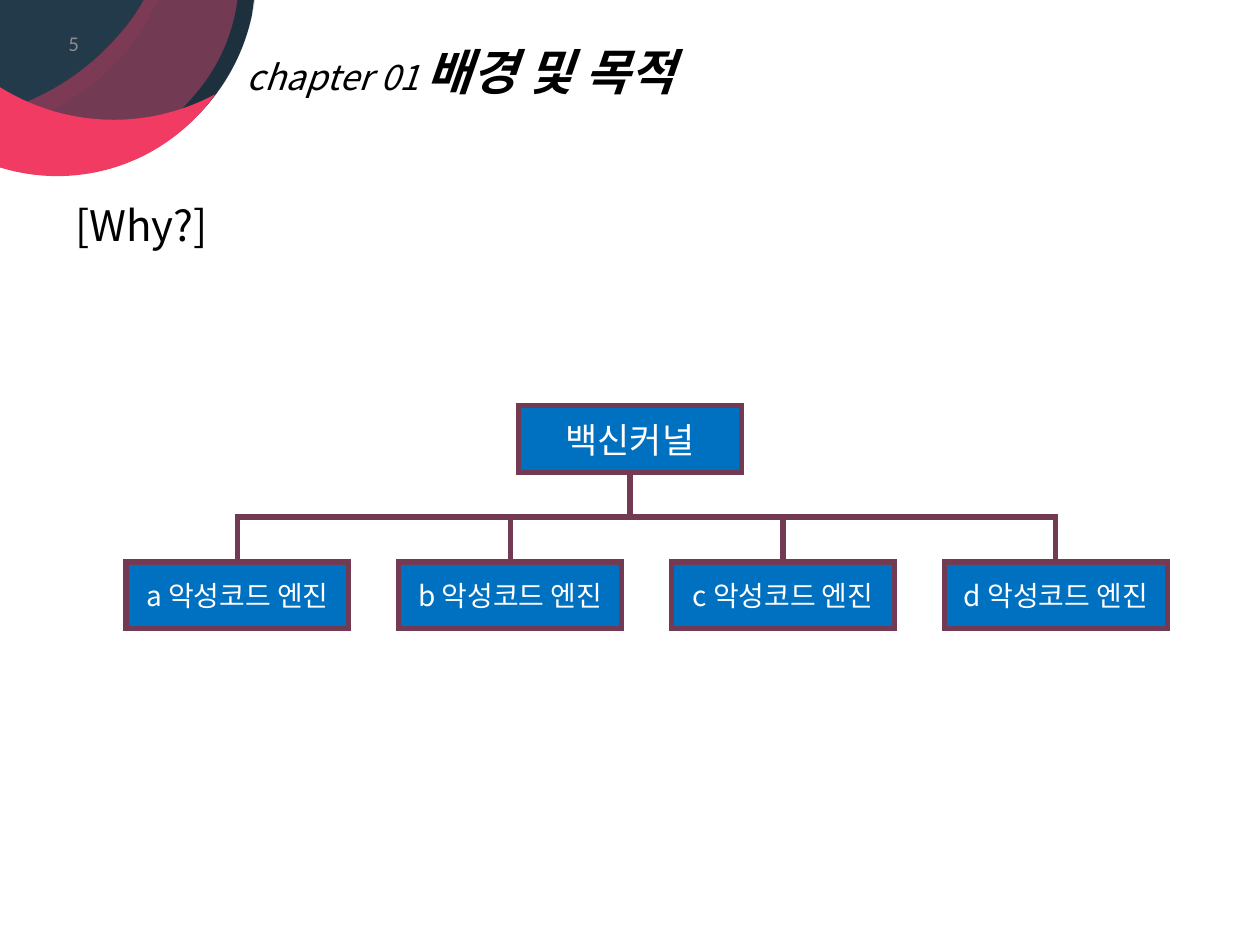
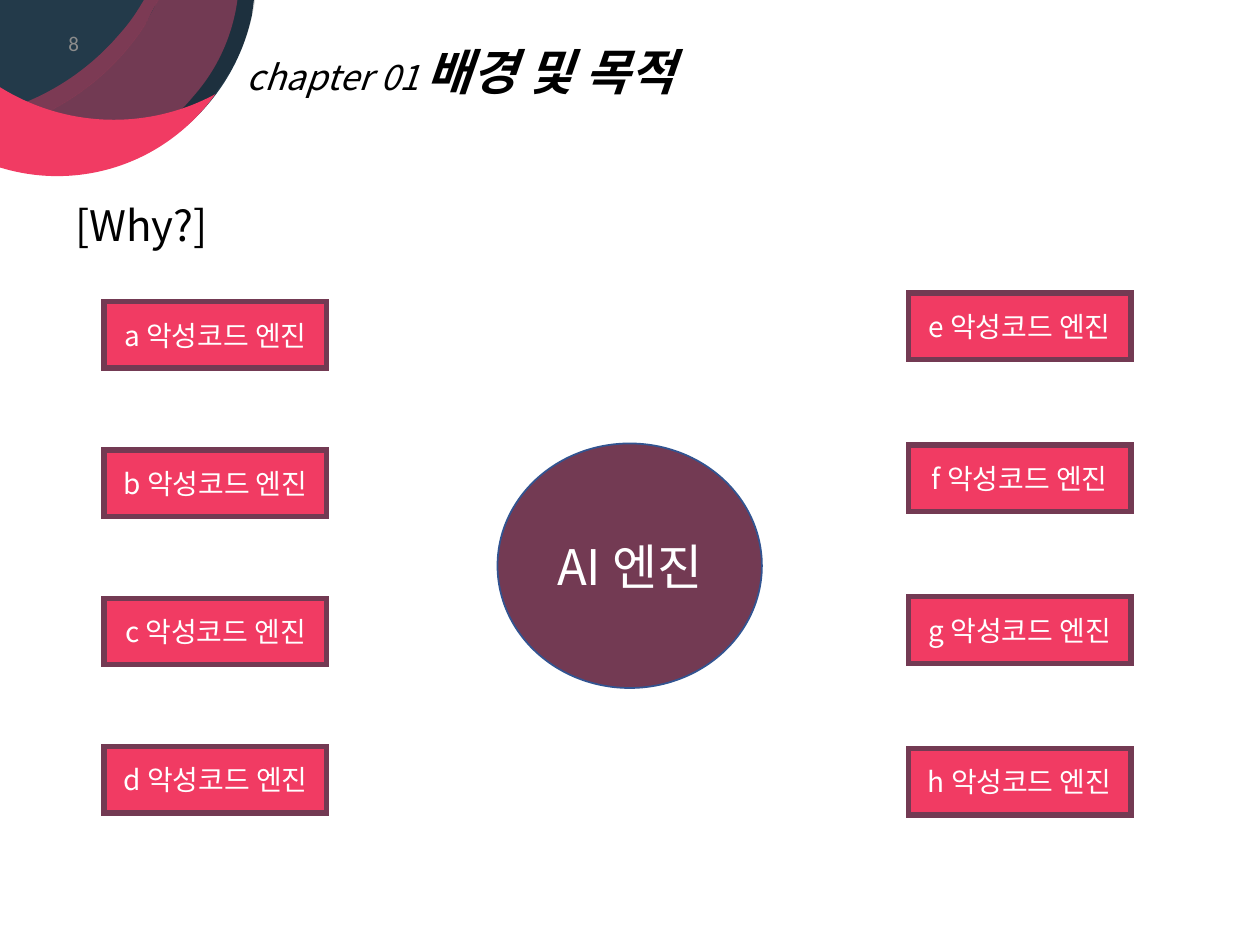
from dataclasses import dataclass

from pptx import Presentation
from pptx.dml.color import RGBColor as RGB
from pptx.enum.shapes import MSO_CONNECTOR as CONNECTOR, MSO_SHAPE as SHAPE
from pptx.enum.text import MSO_ANCHOR as ANCHOR, PP_ALIGN as ALIGN
from pptx.oxml.ns import qn
from pptx.oxml.xmlchemy import OxmlElement
from pptx.util import Cm, Pt


@dataclass(frozen=True)
class Theme:
    navy: str = "233A4A"
    red: str = "F13B63"
    plum: str = "733A53"
    blue: str = "0070C0"
    circle_edge: str = "325491"
    black: str = "000000"
    white: str = "FFFFFF"
    gray: str = "8C8C8C"
    font: str = "Noto Sans CJK KR"
    number_font: str = "Calibri"
    title_size: int = 28
    heading_size: int = 24
    chapter_size: int = 20
    engine_size: int = 16
    number_size: int = 12
    border: int = 3


THEME = Theme()
ENGINE_W, ENGINE_H = 4.49, 1.34

# Corner outlines in cm: pairs are straight steps, sextuples are Bézier curves
DISC = [(-1.3, -.08), (5.13, -.08), (5.08, .3),
        (4.7, 2.13, 3.07, 3.53, 1.12, 3.53),
        (.28, 3.53, -.53, 3.25, -1.17, 2.79), (-1.3, 2.72)]
CRESCENT = [(3.25, -.1), (4.8, -.1), (4.72, .64, 4.42, 1.35, 3.91, 1.93),
            (3.1, 2.92, 1.88, 3.4, .69, 3.33), (.61, 3.33),
            (.1, 3.23, -.38, 3.05, -.84, 2.77),
            (.69, 2.64, 2.08, 1.8, 2.92, .51), (3, .36, 3.07, .23, 3.15, .08)]
SHADE = [(4.8, -.1), (5.16, -.1), (5.08, .48, 4.9, 1.04, 4.57, 1.55),
         (3.73, 2.87, 2.24, 3.51, .79, 3.35), (.69, 3.33),
         (1.88, 3.4, 3.1, 2.92, 3.91, 1.93),
         (4.42, 1.35, 4.72, .64, 4.8, -.1)]
RIM = [(3.25, -.1), (3.15, .08), (3.07, .2, 3, .36, 2.92, .51),
       (2.08, 1.8, .69, 2.64, -.84, 2.77), (-.38, 3.05, .1, 3.23, .61, 3.3),
       (.69, 3.33), (.51, 3.3), (-.05, 3.25, -.61, 3.07, -1.12, 2.77),
       (-1.3, 2.64), (-1.3, 2.41), (-1.02, 2.41),
       (.3, 2.34, 1.55, 1.7, 2.41, .69), (2.62, .46, 2.77, .23, 2.92, -.03),
       (2.95, -.1)]
SMILE = [(-1.27, .58), (-1.22, .68), (-.97, 1.04, -.64, 1.34, -.25, 1.59),
         (1.09, 2.56, 2.87, 2.69, 4.34, 1.9),
         (3.07, 3.68, .64, 4.08, -1.14, 2.81), (-1.27, 2.71)]
CORNER = [(DISC, THEME.navy, 100), (CRESCENT, THEME.red, 39),
          (SHADE, THEME.black, 16), (RIM, THEME.red, 25),
          (SMILE, THEME.red, 100), (RIM, THEME.red, 25)]


# Text and line formats
def write(frame, text, size, color=THEME.black, font=THEME.font, bold=False,
          italic=False, align=ALIGN.LEFT, anchor=ANCHOR.TOP, spacing=None):
    """Append a formatted run to the first paragraph of a frame."""
    frame.word_wrap = True
    frame.vertical_anchor = anchor
    paragraph = frame.paragraphs[0]
    paragraph.alignment = align
    paragraph.line_spacing = spacing
    run = paragraph.add_run()
    run.text = text
    run.font.name = font
    run.font.size = Pt(size)
    run.font.bold, run.font.italic = bold, italic
    run.font.color.rgb = RGB.from_string(color)
    east_asian = OxmlElement("a:ea")
    east_asian.set("typeface", font)
    run.font._element.find(qn("a:latin")).addnext(east_asian)


def outline(line, color, width):
    line.color.rgb = RGB.from_string(color)
    line.width = Pt(width)
    miter = OxmlElement("a:miter")
    miter.set("lim", "800000")
    line._get_or_add_ln().append(miter)


# Element kinds
def text_area(slide, left, top, width, height):
    box = slide.shapes.add_textbox(Cm(left), Cm(top), Cm(width), Cm(height))
    return box.text_frame


def node(slide, kind, box, label, fill, size, edge=THEME.plum,
         edge_width=THEME.border):
    shape = slide.shapes.add_shape(kind, *map(Cm, box))
    shape.shadow.inherit = False
    shape.fill.solid()
    shape.fill.fore_color.rgb = RGB.from_string(fill)
    outline(shape.line, edge, edge_width)
    frame = shape.text_frame
    frame.margin_left = frame.margin_right = 0
    write(frame, label, size, THEME.white, align=ALIGN.CENTER,
          anchor=ANCHOR.MIDDLE)


def engine(slide, left, top, label, fill, size=THEME.engine_size):
    node(slide, SHAPE.RECTANGLE, (left, top, ENGINE_W, ENGINE_H), label, fill,
         size)


def branch(slide, x, y, parent_x, parent_y):
    """Elbow that leaves a child upwards and enters its parent from below."""
    mid_x, mid_y = (x + parent_x) / 2, (y + parent_y) / 2
    half_rise, half_run = (y - parent_y) / 2, abs(x - parent_x) / 2
    on_left = x < parent_x
    # The elbow is laid on its side, then turned about its centre
    side = 1 if on_left else -1
    elbow = slide.shapes.add_connector(
        CONNECTOR.ELBOW, Cm(mid_x + side * half_rise), Cm(mid_y + half_run),
        Cm(mid_x - side * half_rise), Cm(mid_y - half_run))
    properties = elbow._element.spPr
    turn = 90 if on_left else 270
    properties.find(qn("a:xfrm")).set("rot", str(turn * 60000))
    outline(elbow.line, THEME.plum, THEME.border)
    properties.append(OxmlElement("a:effectLst"))


def bend(segment, controls, shape):
    """Replace a straight segment by a cubic curve."""
    curve = OxmlElement("a:cubicBezTo")
    for x, y in controls:
        point = OxmlElement("a:pt")
        point.set("x", str(Cm(x) - shape.left))
        point.set("y", str(Cm(y) - shape.top))
        curve.append(point)
    segment.getparent().replace(segment, curve)


def swoosh(slide, steps, color, opacity):
    corners = [(Cm(step[-2]), Cm(step[-1])) for step in steps]
    builder = slide.shapes.build_freeform(*corners[0])
    builder.add_line_segments(corners[1:], close=True)
    shape = builder.convert_to_shape()
    segments = list(shape._element.spPr.iter(qn("a:lnTo")))
    for segment, step in zip(segments, steps[1:]):
        if len(step) == 6:
            bend(segment, (step[:2], step[2:4], step[4:]), shape)
    shape.shadow.inherit = False
    shape.line.fill.background()
    shape.fill.solid()
    shape.fill.fore_color.rgb = RGB.from_string(color)
    if opacity < 100:
        alpha = OxmlElement("a:alpha")
        alpha.set("val", str(opacity * 1000))
        next(shape._element.spPr.iter(qn("a:srgbClr"))).append(alpha)


# Shared frame of both slides
def chapter_slide(deck, number):
    slide = deck.slides.add_slide(deck.slide_layouts[6])
    for steps, color, opacity in CORNER:
        swoosh(slide, steps, color, opacity)
    title = text_area(slide, 4.72, .84, 19.35, 1.63)
    write(title, "chapter 01 ", THEME.chapter_size, italic=True, spacing=.9)
    write(title, "배경 및 목적", THEME.title_size, bold=True, italic=True,
          spacing=.9)
    write(text_area(slide, -.33, .37, 3.63, 1.02), number, THEME.number_size,
          THEME.gray, THEME.number_font, align=ALIGN.CENTER,
          anchor=ANCHOR.MIDDLE)
    write(text_area(slide, 1.27, 3.9, 22.25, 1.27), "[Why?]",
          THEME.heading_size)
    return slide


def kernel_tree(slide):
    center, kernel_top, engine_top = 12.7, 8.18, 11.33
    first_left, step = 2.54, 5.5
    lefts = [first_left + i * step for i in range(4)]
    for left, letter in zip(lefts, "abcd"):
        engine(slide, left, engine_top, f"{letter} 악성코드 엔진", THEME.blue)
    engine(slide, center - ENGINE_W / 2, kernel_top, "백신커널", THEME.blue,
           THEME.chapter_size)
    for left in reversed(lefts):
        branch(slide, left + ENGINE_W / 2, engine_top, center,
               kernel_top + ENGINE_H)


def engine_columns(slide):
    columns = [("abcd", 2.1, 6.08, 2.99), ("efgh", 18.31, 5.91, 3.06)]
    for letters, left, top, step in columns:
        for row, letter in enumerate(letters):
            engine(slide, left, top + row * step, f"{letter} 악성코드 엔진",
                   THEME.red)
    node(slide, SHAPE.OVAL, (10.03, 8.94, 5.33, 4.93), "AI 엔진", THEME.plum,
         THEME.title_size, THEME.circle_edge, 1)


def main():
    deck = Presentation()
    deck.slide_width, deck.slide_height = Cm(25.4), Cm(19.05)
    kernel_tree(chapter_slide(deck, "5"))
    engine_columns(chapter_slide(deck, "8"))
    deck.save("out.pptx")


if __name__ == "__main__":
    main()
